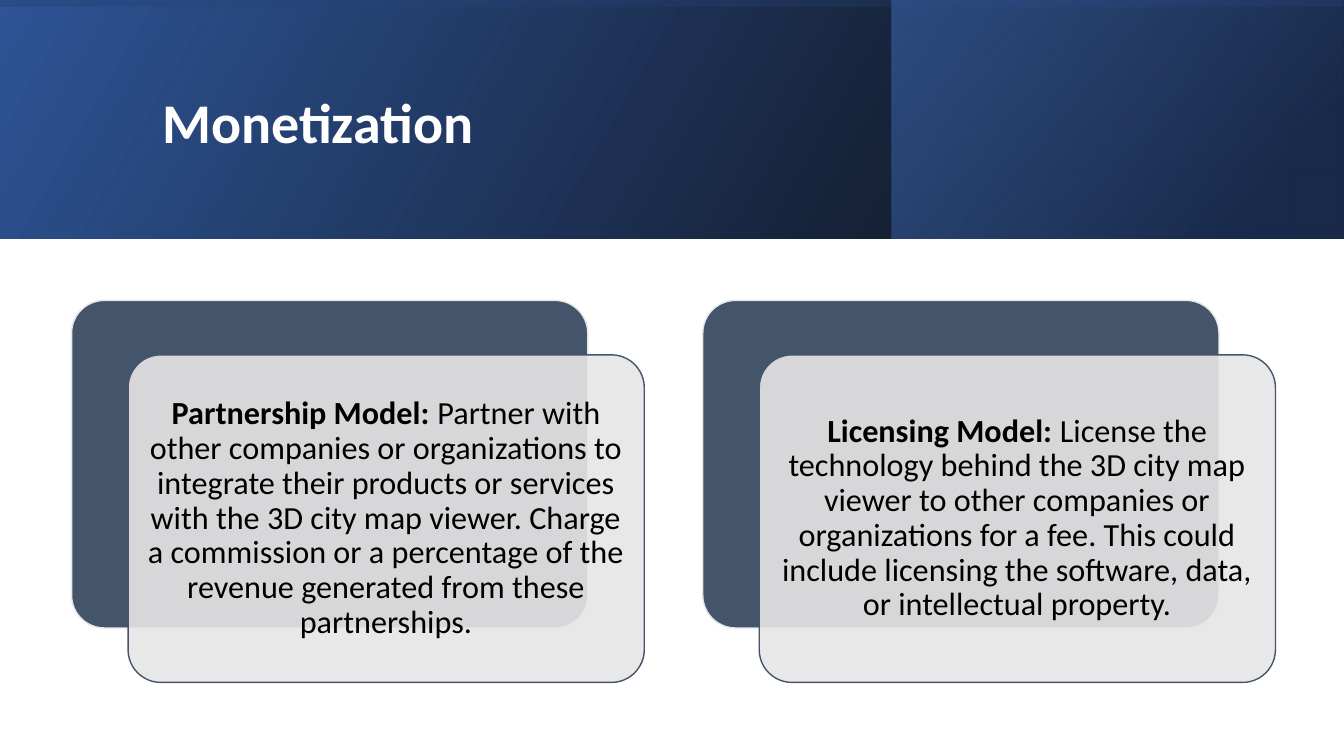
from dataclasses import dataclass

from lxml.etree import SubElement
from pptx import Presentation
from pptx.dml.color import RGBColor
from pptx.enum.shapes import MSO_SHAPE as Shape
from pptx.enum.text import MSO_ANCHOR as Anchor, PP_ALIGN as Align
from pptx.oxml.ns import qn
from pptx.shapes.autoshape import Shape as AutoShape
from pptx.slide import Slide
from pptx.text.text import _Run as Run
from pptx.util import Inches, Pt


@dataclass(frozen=True)
class Theme:
    """Colours and type sizes of the slide."""
    font: str = "Calibri"
    title_size: int = 40
    body_size: int = 23
    white: str = "FFFFFF"
    black: str = "000000"
    blue: str = "2F5597"
    navy: str = "203864"
    sky: str = "4472C4"
    slate: str = "44546A"
    grey: str = "E7E6E6"


@dataclass(frozen=True)
class Stop:
    """A gradient stop, with position and opacity in percent."""
    position: int
    color: str
    opacity: int = 100


@dataclass(frozen=True)
class Band:
    """A gradient rectangle of the header, with a clockwise angle."""
    left: float
    top: float
    width: float
    height: float
    angle: int
    stops: tuple[Stop, Stop]
    rotation: int = 0


@dataclass(frozen=True)
class Card:
    """A revenue model with its bold lead and description."""
    lead: str
    body: str


THEME = Theme()
SLIDE_WIDTH, SLIDE_HEIGHT, HEADER_HEIGHT = 13.33, 7.5, 2.37
CARD_LEFT, CARD_TOP, CARD_WIDTH, CARD_HEIGHT = 0.71, 2.98, 5.12, 3.25
CARD_PITCH = 6.26
FRONT_SHIFT_X, FRONT_SHIFT_Y = 0.56, 0.54

BANDS = (
    Band(0, 0, SLIDE_WIDTH, HEADER_HEIGHT, 330,
         (Stop(0, THEME.black, 96), Stop(100, THEME.blue))),
    Band(8.84, 0, 4.48, HEADER_HEIGHT, 320,
         (Stop(19, THEME.navy, 68), Stop(100, THEME.sky, 48))),
    Band(5.48, -5.48, HEADER_HEIGHT, SLIDE_WIDTH, 350,
         (Stop(23, THEME.blue, 16), Stop(99, THEME.black, 45)), 270),
)
CARDS = (
    Card("Partnership Model: ",
         "Partner with other companies or organizations to integrate their "
         "products or services with the 3D city map viewer. Charge a commission "
         "or a percentage of the revenue generated from these partnerships."),
    Card("Licensing Model: ",
         "License the technology behind the 3D city map viewer to other "
         "companies or organizations for a fee. This could include licensing "
         "the software, data, or intellectual property."),
)


def rgb(color: str) -> RGBColor:
    """Turn a hex string into a colour."""
    return RGBColor.from_string(color)


def set_opacity(shape: AutoShape, *percents: int) -> None:
    """Set the opacity of the fill colours in order."""
    for color, percent in zip(shape._element.spPr.iter(qn("a:srgbClr")), percents):
        SubElement(color, qn("a:alpha")).set("val", str(percent * 1000))


def style_run(span: Run, size: int, color: str, bold: bool) -> None:
    """Format one run of text."""
    span.font.name = THEME.font
    span.font.size = Pt(size)
    span.font.bold = bold
    span.font.color.rgb = rgb(color)


def add_band(page: Slide, band: Band) -> None:
    """Draw one mirrored gradient band."""
    box = page.shapes.add_shape(Shape.RECTANGLE, Inches(band.left), Inches(band.top),
                                Inches(band.width), Inches(band.height))
    box.shadow.inherit = False
    box.line.fill.background()
    box.rotation = band.rotation
    box._element.spPr.xfrm.set("flipH", "1")
    box.fill.gradient()
    box.fill.gradient_angle = 360 - band.angle
    for target, stop in zip(box.fill.gradient_stops, band.stops):
        target.position = stop.position / 100
        target.color.rgb = rgb(stop.color)
    set_opacity(box, *(stop.opacity for stop in band.stops))


def add_panel(page: Slide, left: float, top: float, fill: str, line: str,
              opacity: int = 100) -> AutoShape:
    """Draw one rounded panel."""
    box = page.shapes.add_shape(Shape.ROUNDED_RECTANGLE, Inches(left), Inches(top),
                                Inches(CARD_WIDTH), Inches(CARD_HEIGHT))
    box.adjustments[0] = 0.1
    box.shadow.inherit = False
    box.fill.solid()
    box.fill.fore_color.rgb = rgb(fill)
    set_opacity(box, opacity)
    box.line.color.rgb = rgb(line)
    box.line.width = Pt(1)
    return box


def add_card(page: Slide, card: Card, left: float) -> None:
    """Draw a back panel and a front panel that holds the text."""
    add_panel(page, left, CARD_TOP, THEME.slate, THEME.grey)
    front = add_panel(page, left + FRONT_SHIFT_X, CARD_TOP + FRONT_SHIFT_Y,
                      THEME.grey, THEME.slate, 90)
    frame = front.text_frame
    frame.word_wrap = True
    frame.vertical_anchor = Anchor.MIDDLE
    frame.margin_left = frame.margin_right = Inches(0.1)
    frame.margin_top = frame.margin_bottom = Inches(0.1)
    para = frame.paragraphs[0]
    para.alignment = Align.CENTER
    para.line_spacing = 0.9
    for text, bold in ((card.lead, True), (card.body, False)):
        span = para.add_run()
        span.text = text
        style_run(span, THEME.body_size, THEME.black, bold)


def place_title(page: Slide, text: str) -> None:
    """Set the title and bring it in front of the header."""
    title = page.shapes.title
    title.left, title.top = Inches(1.51), Inches(0.38)
    title.width, title.height = Inches(10.63), Inches(1.72)
    frame = title.text_frame
    frame.text = text
    frame.vertical_anchor = Anchor.MIDDLE
    para = frame.paragraphs[0]
    para.alignment = Align.LEFT
    para.line_spacing = 0.9
    style_run(para.runs[0], THEME.title_size, THEME.white, True)
    page.shapes._spTree.append(title._element)


def main() -> None:
    """Build the slide and save the deck."""
    deck = Presentation()
    deck.slide_width, deck.slide_height = Inches(SLIDE_WIDTH), Inches(SLIDE_HEIGHT)
    page = deck.slides.add_slide(deck.slide_layouts.get_by_name("Title Only"))
    for band in BANDS:
        add_band(page, band)
    place_title(page, "Monetization")
    for index, card in enumerate(CARDS):
        add_card(page, card, CARD_LEFT + index * CARD_PITCH)
    deck.save("out.pptx")


if __name__ == "__main__":
    main()
